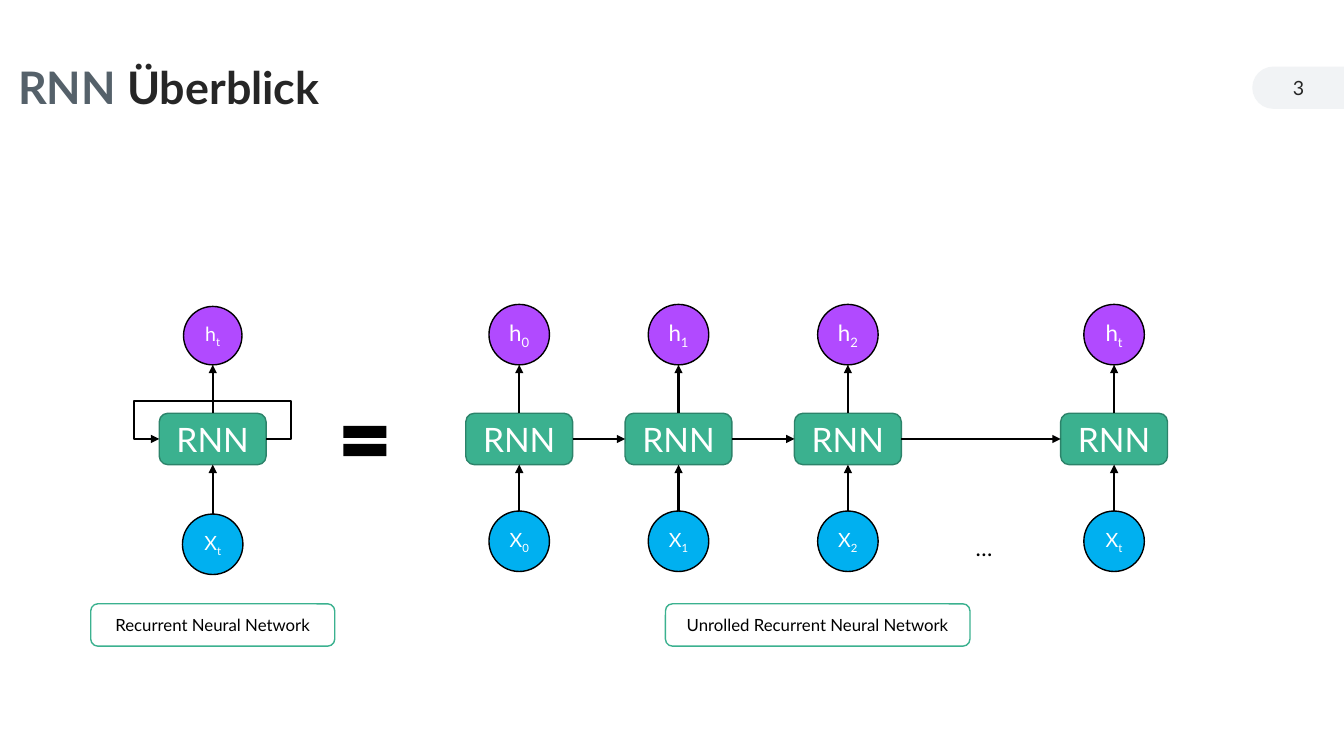
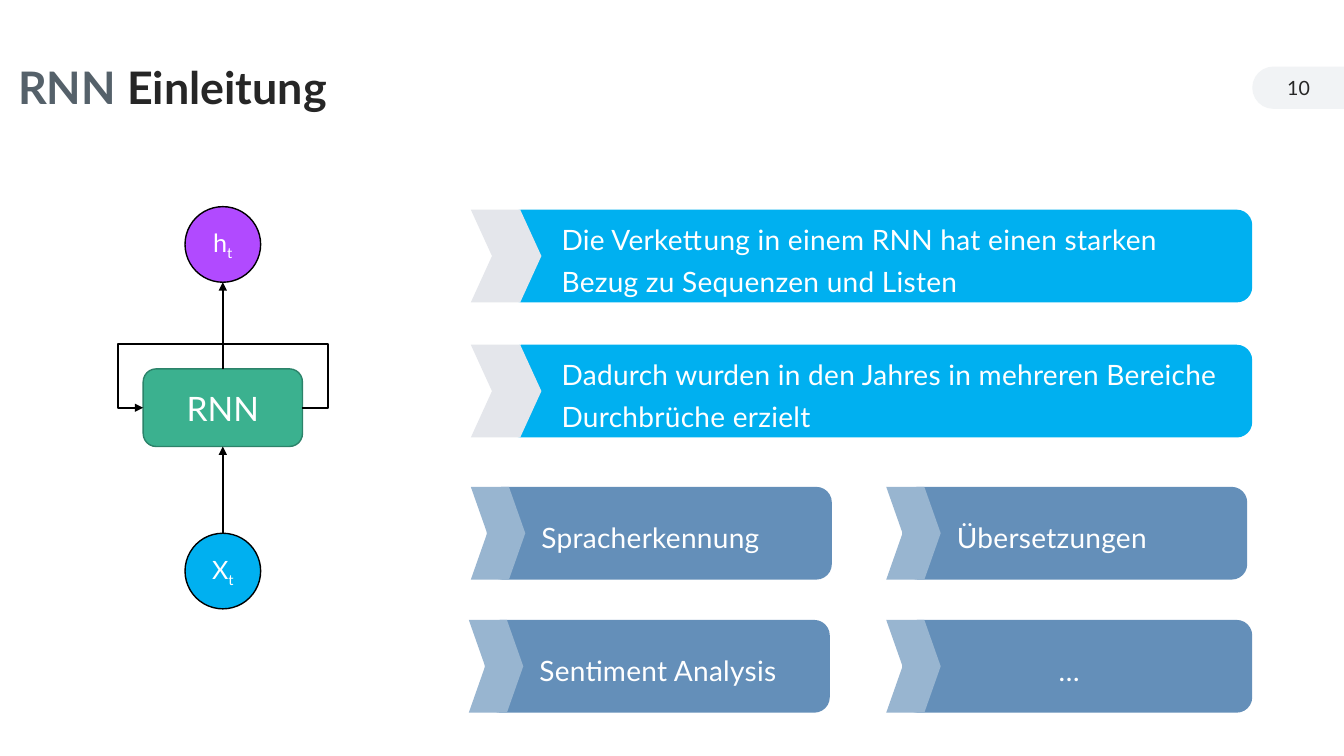
"""Build two slides that introduce recurrent neural networks."""
import dataclasses
import itertools

import lxml.etree
import pptx
import pptx.dml.color
import pptx.enum.shapes
import pptx.enum.text
import pptx.oxml.ns
import pptx.util

Inches = pptx.util.Inches
Pt = pptx.util.Pt
RGBColor = pptx.dml.color.RGBColor
SHAPE = pptx.enum.shapes.MSO_SHAPE
ALIGN = pptx.enum.text.PP_ALIGN
ANCHOR = pptx.enum.text.MSO_ANCHOR
qn = pptx.oxml.ns.qn

FONT = "Lato"
BLACK = RGBColor(0x00, 0x00, 0x00)
WHITE = RGBColor(0xFF, 0xFF, 0xFF)
INK = RGBColor(0x26, 0x26, 0x26)
SLATE = RGBColor(0x55, 0x61, 0x6A)
TAB_GREY = RGBColor(0xF1, 0xF3, 0xF5)
CHEVRON_GREY = RGBColor(0xE4, 0xE6, 0xEB)
SKY = RGBColor(0x00, 0xB0, 0xF0)
PURPLE = RGBColor(0xB1, 0x4A, 0xFF)
GREEN = RGBColor(0x3B, 0xB1, 0x8F)
DARK_GREEN = RGBColor(0x2C, 0x83, 0x6A)
STEEL = RGBColor(0x64, 0x8F, 0xB9)
PALE_STEEL = RGBColor(0x98, 0xB5, 0xD0)
TILE_HEIGHT = 0.92


@dataclasses.dataclass
class Cell:
    centre: float
    subscript: str
    hidden_top: float = 3.02
    box_top: float = 4.1
    input_top: float = 5.07
    hidden_diameter: float = 0.6
    input_diameter: float = 0.6
    box_width: float = 1.06
    box_height: float = 0.51
    hidden_size: int = 16
    input_size: int = 14

    @property
    def left(self):
        return self.centre - self.box_width / 2

    @property
    def right(self):
        return self.centre + self.box_width / 2

    @property
    def middle(self):
        return self.box_top + self.box_height / 2


@dataclasses.dataclass
class TileStyle:
    fill: RGBColor
    chevron_fill: RGBColor
    chevron_width: float
    bar_indent: float
    text_indent: float


WIDE_TILE = TileStyle(SKY, CHEVRON_GREY, 0.7, 0.35, 0.9)
SMALL_TILE = TileStyle(STEEL, PALE_STEEL, 0.54, 0.16, 0.7)


def write(shape, spans, size, align=ALIGN.CENTER, spacing=None, bold=None):
    frame = shape.text_frame
    frame.word_wrap = True
    frame.vertical_anchor = ANCHOR.MIDDLE
    frame.margin_left = frame.margin_right = 0
    frame.margin_top = frame.margin_bottom = Inches(0.05)
    para = frame.paragraphs[0]
    para.alignment = align
    para.line_spacing = spacing
    for text, color in spans:
        span = para.add_run()
        span.text = text
        span.font.name = FONT
        span.font.size = Pt(size)
        span.font.bold = bold
        span.font.color.rgb = color
    return para


def add_box(shapes, kind, left, top, width, height, fill, outline=None):
    box = shapes.add_shape(kind, Inches(left), Inches(top), Inches(width), Inches(height))
    box.shadow.inherit = False
    box.fill.solid()
    box.fill.fore_color.rgb = fill
    if outline is None:
        box.line.fill.background()
    else:
        box.line.color.rgb = outline
        box.line.width = Pt(1)
    return box


def add_text(shapes, left, top, width, height, spans, size, **style):
    box = shapes.add_textbox(Inches(left), Inches(top), Inches(width), Inches(height))
    return write(box, spans, size, **style)


def add_spaced_text(shapes, left, top, width, height, text, color, size, align):
    para = add_text(shapes, left, top, width, height, [(text, color)], size,
                    align=align, spacing=1.25)
    para.runs[0]._r.get_or_add_rPr().set("spc", "20")


def style_arrow(arrow):
    arrow.line.color.rgb = BLACK
    arrow.line.width = Pt(1.5)
    properties = arrow.element.spPr
    lxml.etree.SubElement(properties.find(qn("a:ln")), qn("a:tailEnd"), type="triangle")
    lxml.etree.SubElement(properties, qn("a:effectLst"))


def add_arrow(shapes, start, end):
    points = [Inches(length) for length in (*start, *end)]
    style_arrow(shapes.add_connector(pptx.enum.shapes.MSO_CONNECTOR.STRAIGHT, *points))


def add_node(shapes, centre, top, diameter, fill, letter, subscript, size):
    node = add_box(shapes, SHAPE.OVAL, centre - diameter / 2, top, diameter, diameter,
                   fill, BLACK)
    para = write(node, [(letter, WHITE), (subscript, WHITE)], size)
    para.runs[1]._r.get_or_add_rPr().set("baseline", "-25000")


def add_cell(shapes, cell):
    add_node(shapes, cell.centre, cell.input_top, cell.input_diameter, SKY, "X",
             cell.subscript, cell.input_size)
    add_node(shapes, cell.centre, cell.hidden_top, cell.hidden_diameter, PURPLE, "h",
             cell.subscript, cell.hidden_size)
    box = add_box(shapes, SHAPE.ROUNDED_RECTANGLE, cell.left, cell.box_top,
                  cell.box_width, cell.box_height, GREEN, DARK_GREEN)
    write(box, [("RNN", WHITE)], 24)
    add_arrow(shapes, (cell.centre, cell.input_top),
              (cell.centre, cell.box_top + cell.box_height))
    add_arrow(shapes, (cell.centre, cell.box_top),
              (cell.centre, cell.hidden_top + cell.hidden_diameter))


def add_loop(shapes, cell, loop_top):
    reach = 0.25
    points = [
        (cell.right, cell.middle),
        (cell.right + reach, cell.middle),
        (cell.right + reach, loop_top),
        (cell.left - reach, loop_top),
        (cell.left - reach, cell.middle),
        (cell.left, cell.middle),
    ]
    corners = [(Inches(x), Inches(y)) for x, y in points]
    builder = shapes.build_freeform(*corners[0])
    builder.add_line_segments(corners[1:], close=False)
    loop = builder.convert_to_shape()
    loop.fill.background()
    style_arrow(loop)


def add_caption(shapes, left, width, text):
    caption = add_box(shapes, SHAPE.ROUNDED_RECTANGLE, left, 5.99, width, 0.42, WHITE, GREEN)
    write(caption, [(text, BLACK)], 12)


def add_tile(slide, style, left, top, right, text, centred=False):
    shapes = slide.shapes.add_group_shape().shapes
    bar_left = left + style.bar_indent
    add_box(shapes, SHAPE.ROUNDED_RECTANGLE, bar_left, top, right - bar_left,
            TILE_HEIGHT, style.fill)
    chevron = add_box(shapes, SHAPE.CHEVRON, left, top, style.chevron_width,
                      TILE_HEIGHT, style.chevron_fill)
    chevron.adjustments[0] = 0.3
    text_left = left if centred else left + style.text_indent
    add_spaced_text(shapes, text_left, top, right - 0.16 * (not centred) - text_left,
                    TILE_HEIGHT, text, WHITE, 20, ALIGN.CENTER if centred else ALIGN.LEFT)


def add_page(deck, topic, number):
    slide = deck.slides.add_slide(deck.slide_layouts[6])
    shapes = slide.shapes
    tab = add_box(shapes, SHAPE.ROUND_2_SAME_RECTANGLE, 12.67, 0.41, 0.42, 0.92, TAB_GREY)
    tab.adjustments[0] = 0.5
    tab.rotation = 270
    add_text(shapes, 12.42, 0.67, 0.92, 0.4, [(number, INK)], 14)
    add_text(shapes, 0.18, 0.45, 8.65, 0.88, [("RNN ", SLATE), (topic, INK)], 32,
             align=ALIGN.LEFT, spacing=0.9, bold=True)
    return slide


def build_overview(deck):
    shapes = add_page(deck, "Überblick", "3").shapes
    rolled = Cell(2.11, "t", hidden_top=3.04, input_top=5.1, hidden_diameter=0.58,
                  hidden_size=14)
    add_cell(shapes, rolled)
    add_loop(shapes, rolled, 3.98)
    add_box(shapes, SHAPE.MATH_EQUAL, 3.33, 4.12, 0.58, 0.51, BLACK)
    steps = [Cell(centre, subscript)
             for centre, subscript in zip((5.15, 6.73, 8.41, 11.05), "012t")]
    for step in steps:
        add_cell(shapes, step)
    for before, after in itertools.pairwise(steps):
        add_arrow(shapes, (before.right, before.middle), (after.left, after.middle))
    add_spaced_text(shapes, 9.47, 5.2, 0.58, 0.4, "…", BLACK, 16, ALIGN.CENTER)
    add_caption(shapes, 0.9, 2.42, "Recurrent Neural Network")
    add_caption(shapes, 6.6, 3.02, "Unrolled Recurrent Neural Network")


def build_introduction(deck):
    slide = add_page(deck, "Einleitung", "10")
    cell = Cell(2.21, "t", hidden_top=2.05, box_top=3.66, input_top=5.29,
                hidden_diameter=0.75, input_diameter=0.75, box_width=1.58,
                box_height=0.77, hidden_size=18, input_size=18)
    add_cell(slide.shapes, cell)
    add_loop(slide.shapes, cell, 3.41)
    add_tile(slide, WIDE_TILE, 4.67, 2.08, 12.42,
             "Die Verkettung in einem RNN hat einen starken Bezug zu Sequenzen und Listen")
    add_tile(slide, WIDE_TILE, 4.67, 3.42, 12.42,
             "Dadurch wurden in den Jahres in mehreren Bereiche Durchbrüche erzielt")
    add_tile(slide, SMALL_TILE, 4.67, 4.83, 8.25, "Spracherkennung")
    add_tile(slide, SMALL_TILE, 8.79, 4.83, 12.37, "Übersetzungen")
    add_tile(slide, SMALL_TILE, 4.65, 6.15, 8.23, "Sentiment Analysis")
    add_tile(slide, SMALL_TILE, 8.79, 6.15, 12.42, "…", centred=True)


def main():
    deck = pptx.Presentation()
    deck.slide_width = Inches(13.33)
    deck.slide_height = Inches(7.5)
    build_overview(deck)
    build_introduction(deck)
    deck.save("out.pptx")


if __name__ == "__main__":
    main()
